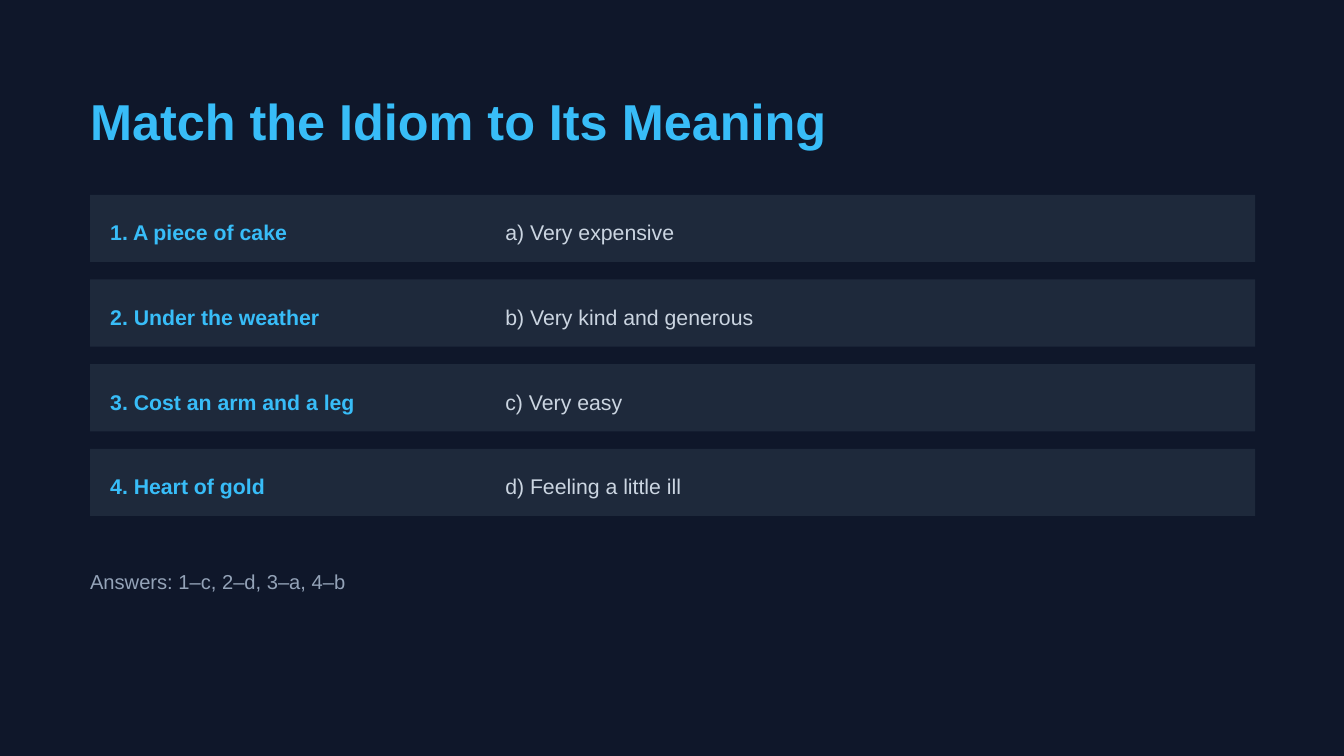
from pptx import Presentation
from pptx.dml.color import RGBColor
from pptx.enum.shapes import MSO_SHAPE
from pptx.enum.text import MSO_ANCHOR, MSO_AUTO_SIZE, PP_ALIGN
from pptx.util import Inches, Pt

NAVY = "0F172A"
SLATE = "1E293B"
SKY = "38BDF8"
LIGHT = "CBD5E1"
MUTED = "94A3B8"

LEFT = 0.67
FIRST_ROW = 1.45
ROW_PITCH = 0.63
ROW_HEIGHT = 0.5
TEXT_OFFSET = 0.12

PAIRS = [
    ("1. A piece of cake", "a) Very expensive"),
    ("2. Under the weather", "b) Very kind and generous"),
    ("3. Cost an arm and a leg", "c) Very easy"),
    ("4. Heart of gold", "d) Feeling a little ill"),
]


def paint(fill, color):
    fill.solid()
    fill.fore_color.rgb = RGBColor.from_string(color)


def write(frame, text, size, spacing, color, bold=False):
    frame.word_wrap = True
    frame.auto_size = MSO_AUTO_SIZE.NONE
    frame.vertical_anchor = MSO_ANCHOR.TOP
    frame.margin_left = frame.margin_right = 0
    frame.margin_top = frame.margin_bottom = 0
    paragraph = frame.paragraphs[0]
    paragraph.alignment = PP_ALIGN.LEFT
    paragraph.line_spacing = Pt(spacing)
    run = paragraph.add_run()
    run.text = text
    run.font.name = "Arial"
    run.font.size = Pt(size)
    run.font.bold = bold
    run.font.color.rgb = RGBColor.from_string(color)


def add_heading(slide, text):
    heading = slide.shapes.title
    heading.left, heading.top = Inches(LEFT), Inches(0.67)
    heading.width, heading.height = Inches(8.84), Inches(0.45)
    write(heading.text_frame, text, 27, 32.4, SKY, True)


def add_label(slide, left, top, width, height, *style):
    label = slide.shapes.add_textbox(
        Inches(left), Inches(top), Inches(width), Inches(height))
    write(label.text_frame, *style)


def add_band(slide, top):
    band = slide.shapes.add_shape(
        MSO_SHAPE.RECTANGLE, Inches(LEFT), Inches(top),
        Inches(8.67), Inches(ROW_HEIGHT))
    band.shadow.inherit = False
    paint(band.fill, SLATE)
    band.line.fill.background()


def add_pair(slide, top, idiom, meaning):
    add_band(slide, top)
    text_top = top + TEXT_OFFSET
    add_label(slide, 0.82, text_top, 2.99, 0.25, idiom, 11.4, 18.2, SKY, True)
    add_label(slide, 3.76, text_top, 5.56, 0.25, meaning, 11.4, 18.2, LIGHT)


def main():
    deck = Presentation()
    deck.slide_width = Inches(10)
    deck.slide_height = deck.slide_width * 9 // 16
    slide = deck.slides.add_slide(deck.slide_layouts[5])
    paint(slide.background.fill, NAVY)

    add_heading(slide, "Match the Idiom to Its Meaning")
    for row, (idiom, meaning) in enumerate(PAIRS):
        add_pair(slide, FIRST_ROW + row * ROW_PITCH, idiom, meaning)
    add_label(slide, LEFT, 4.21, 8.84, 0.21,
              "Answers: 1–c, 2–d, 3–a, 4–b", 10.8, 15.1, MUTED)

    deck.save("out.pptx")


if __name__ == "__main__":
    main()
